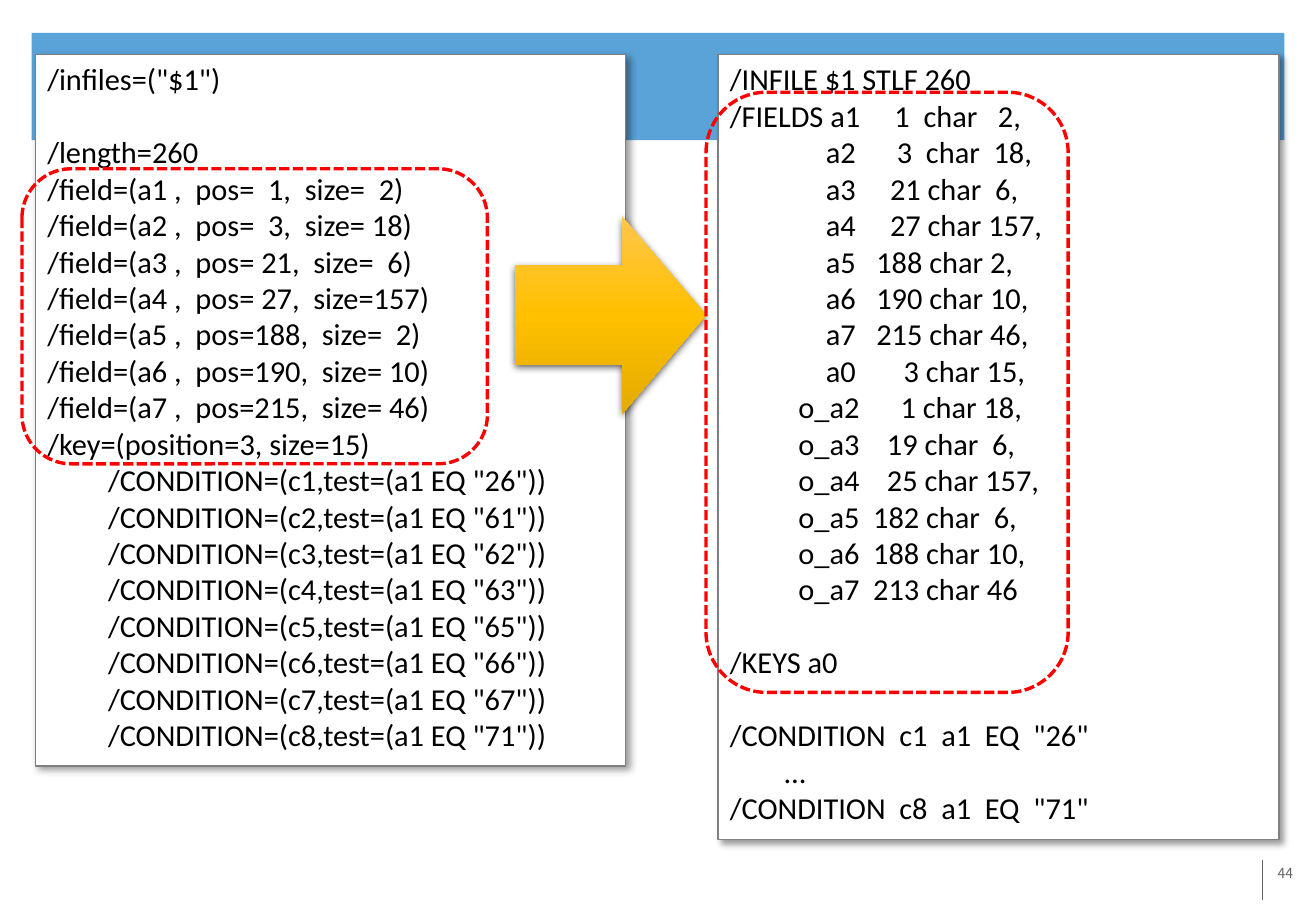
from copy import deepcopy

from lxml import etree
from pptx import Presentation
from pptx import util as u
from pptx.dml.color import RGBColor
from pptx.enum import dml, shapes, text
from pptx.oxml.ns import qn

WHITE = RGBColor(0xFF, 0xFF, 0xFF)
BLACK = RGBColor(0, 0, 0)
BLUE = RGBColor(0x5A, 0xA3, 0xD9)
GRAY = RGBColor(0x80, 0x80, 0x80)
SLATE = RGBColor(0x63, 0x64, 0x67)
RED = RGBColor(0xFF, 0, 0)
GOLDS = [RGBColor(0xFF, 0xC6, 0x4B), RGBColor(0xFF, 0xC0, 0), RGBColor(0xE3, 0xAB, 0)]

FORM = shapes.MSO_SHAPE
CODES = [26, 61, 62, 63, 65, 66, 67, 71]

OLD = """/infiles=("$1")

/length=260
/field=(a1 ,  pos=  1,  size=  2)
/field=(a2 ,  pos=  3,  size= 18)
/field=(a3 ,  pos= 21,  size=  6)
/field=(a4 ,  pos= 27,  size=157)
/field=(a5 ,  pos=188,  size=  2)
/field=(a6 ,  pos=190,  size= 10)
/field=(a7 ,  pos=215,  size= 46)
/key=(position=3, size=15)
""" + "\n".join(f'\t/CONDITION=(c{n},test=(a1 EQ "{code}"))'
                for n, code in enumerate(CODES, 1))

NEW = """/INFILE $1 STLF 260
/FIELDS a1     1  char   2,
              a2      3  char  18,
              a3     21 char  6,
              a4     27 char 157,
              a5   188 char 2,
              a6   190 char 10,
              a7   215 char 46,
              a0       3 char 15,
          o_a2      1 char 18,
          o_a3    19 char  6,
          o_a4    25 char 157,
          o_a5  182 char  6,
          o_a6  188 char 10,
          o_a7  213 char 46

/KEYS a0

/CONDITION  c1  a1  EQ  "26"
        …
/CONDITION  c8  a1  EQ  "71\""""


class Page:
    font = "Calibri"
    size = u.Pt(18)
    pitch = u.Pt(21.6)

    def __init__(self, slide):
        self.items = slide.shapes

    def shape(self, form, box, fill=None, line=None, width=0.75):
        item = self.items.add_shape(form, *map(u.Cm, box))
        item.shadow.inherit = False
        if fill is None:
            item.fill.background()
        else:
            item.fill.solid()
            item.fill.fore_color.rgb = fill
        if line is None:
            item.line.fill.background()
        else:
            item.line.color.rgb = line
            item.line.width = u.Pt(width)
        return item

    def shade(self, item, blur, dist, angle, alpha):
        """Give the item an outer shadow; alpha is in percent."""
        effects = item._element.spPr.find(qn("a:effectLst"))
        outer = etree.SubElement(effects, qn("a:outerShdw"), blurRad=str(u.Pt(blur)),
                                 dist=str(u.Pt(dist)), dir=str(angle * 60000),
                                 algn="ctr", rotWithShape="0")
        color = etree.SubElement(outer, qn("a:srgbClr"), val=str(BLACK))
        etree.SubElement(color, qn("a:alpha"), val=str(alpha * 1000))

    def code(self, box, lines):
        """Draw a listing panel; an empty line becomes space before the next."""
        item = self.shape(FORM.RECTANGLE, box, WHITE, GRAY)
        self.shade(item, 4, 3, 45, 40)
        frame = item.text_frame
        frame.word_wrap = True
        frame.vertical_anchor = text.MSO_ANCHOR.TOP
        frame.text = lines.replace("\n\n", "\n")
        after = [part.split("\n")[0] for part in lines.split("\n\n")[1:]]
        for para in frame.paragraphs:
            para.alignment = text.PP_ALIGN.LEFT
            if para.text in after:
                para.space_before = self.pitch
            for run in para.runs:
                self.style(run, self.font, self.size, BLACK)

    def style(self, run, font, size, color):
        run.font.name = font
        run.font.size = size
        run.font.color.rgb = color

    def arrow(self, box):
        item = self.shape(FORM.RIGHT_ARROW, box)
        item.adjustments[1] = 0.44
        item.fill.gradient()
        item.fill.gradient_angle = 270
        stops = item._element.spPr.find(".//" + qn("a:gsLst"))
        stops.append(deepcopy(stops[-1]))
        for stop, place, gold in zip(item.fill.gradient_stops, (0, 0.5, 1), GOLDS):
            stop.position = place
            stop.color.rgb = gold
        self.shade(item, 4.5, 1.5, 90, 63)

    def ring(self, box):
        item = self.shape(FORM.FLOWCHART_ALTERNATE_PROCESS, box, line=RED, width=2)
        item.line.dash_style = dml.MSO_LINE.SQUARE_DOT

    def rule(self, *ends):
        item = self.items.add_connector(shapes.MSO_CONNECTOR.STRAIGHT, *map(u.Cm, ends))
        item.line.color.rgb = SLATE
        item.line.width = u.Pt(0.75)
        etree.SubElement(item._element.spPr, qn("a:effectLst"))

    def number(self, box, label):
        frame = self.items.add_textbox(*map(u.Cm, box)).text_frame
        frame.word_wrap = True
        frame.margin_left = frame.margin_right = u.Cm(0.18)
        frame.margin_top = frame.margin_bottom = u.Cm(0.1)
        frame.text = label
        para = frame.paragraphs[0]
        para.alignment = text.PP_ALIGN.RIGHT
        self.style(para.runs[0], "Noto Sans CJK KR", u.Pt(8.2), SLATE)


def main():
    deck = Presentation()
    deck.slide_width, deck.slide_height = u.Cm(27.51), u.Cm(19.05)
    page = Page(deck.slides.add_slide(deck.slide_layouts[6]))
    page.shape(FORM.RECTANGLE, (0.66, 0.69, 26.19, 2.24), BLUE)
    page.number((22.56, 17.98, 4.65, 1.27), "44")
    page.rule(26.39, 17.98, 26.39, 18.82)
    page.code((0.74, 1.14, 12.34, 14.88), OLD)
    page.code((15.01, 1.14, 11.73, 16.41), NEW)
    page.arrow((10.77, 4.52, 3.99, 4.14))
    page.ring((0.46, 3.53, 9.73, 6.17))
    page.ring((14.76, 1.93, 7.57, 12.55))
    deck.save("out.pptx")


if __name__ == "__main__":
    main()
